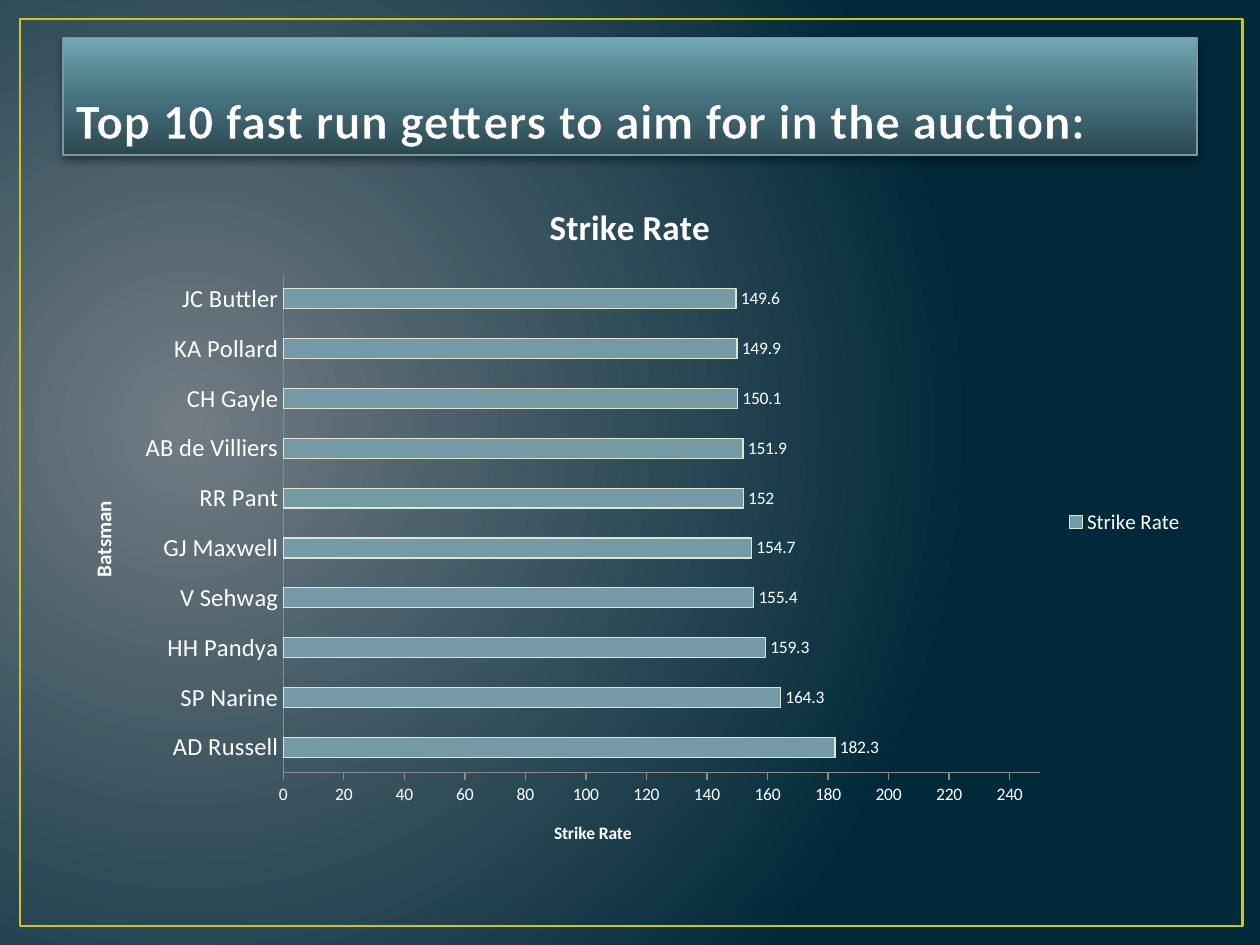
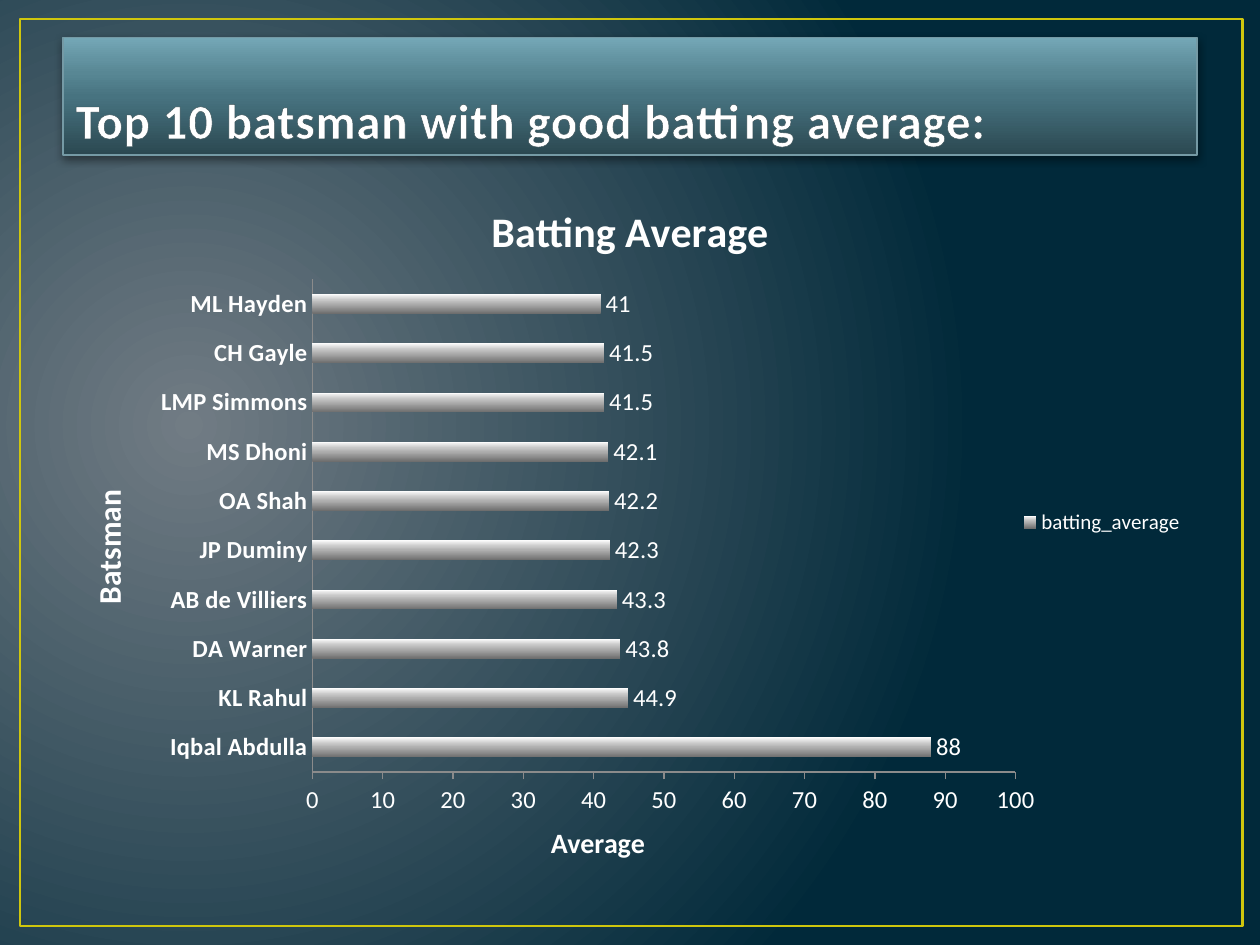
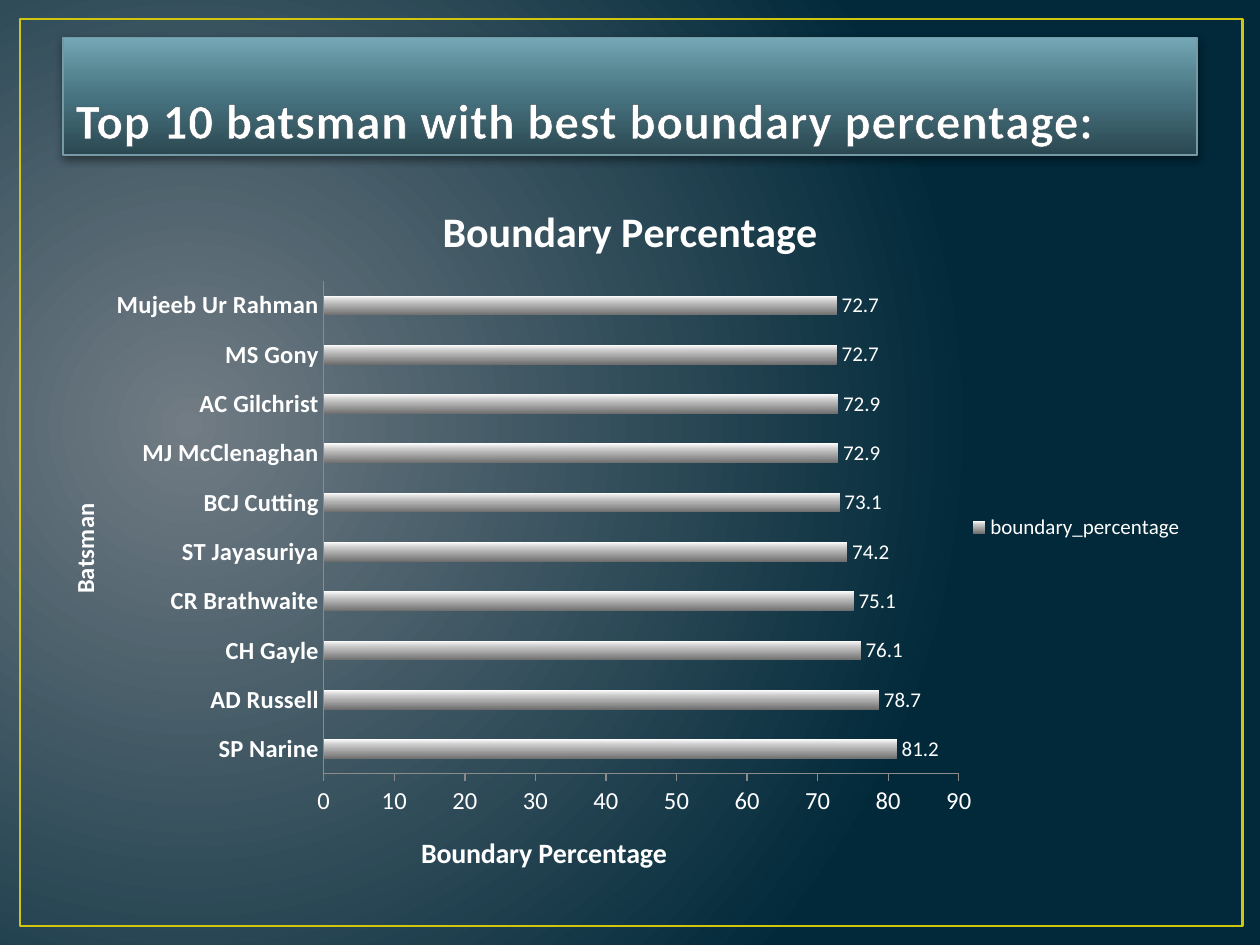
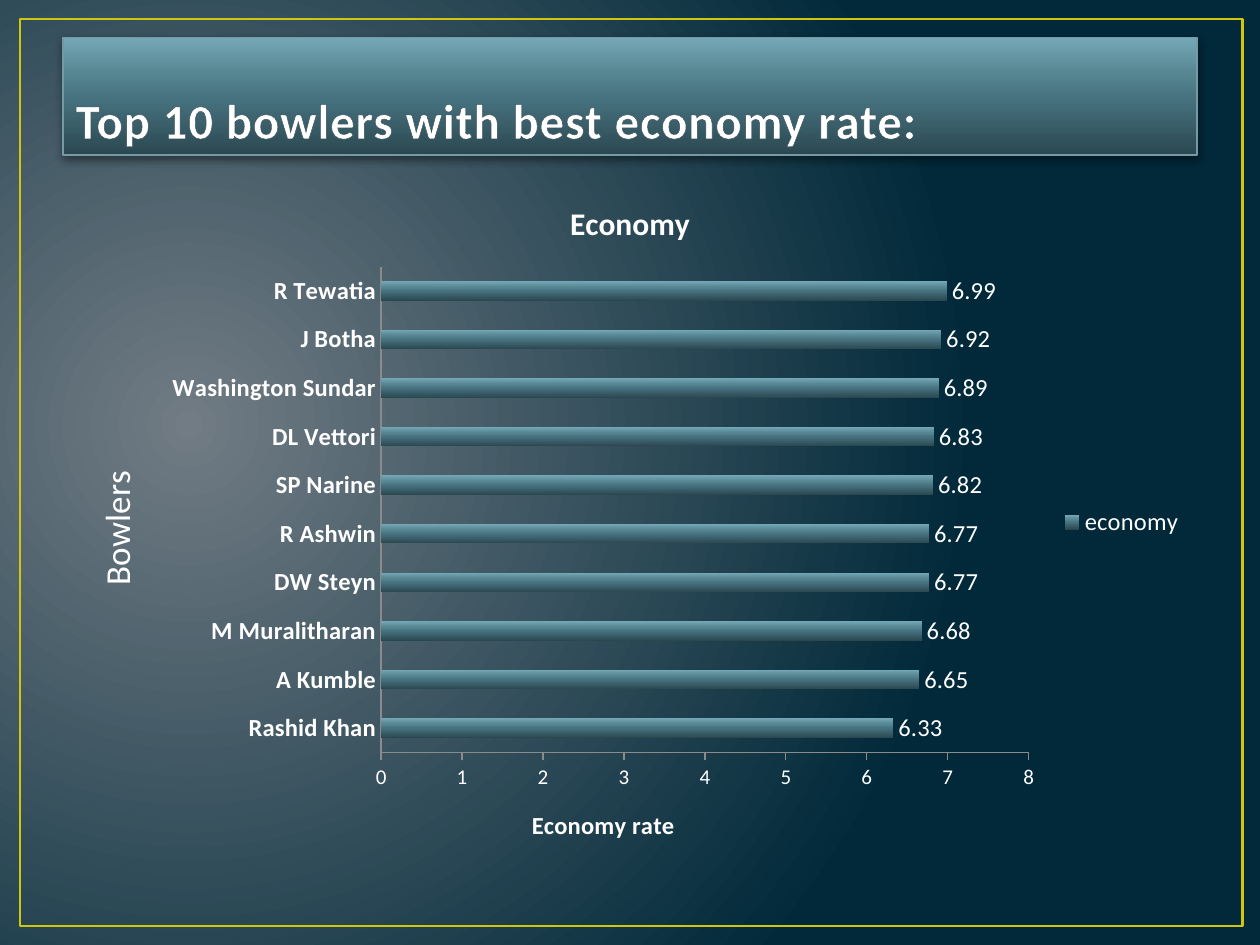
from dataclasses import dataclass
from typing import Optional

from pptx import Presentation
from pptx.chart.data import CategoryChartData
from pptx.dml.color import RGBColor
from pptx.enum.chart import XL_CHART_TYPE, XL_LABEL_POSITION, XL_LEGEND_POSITION, XL_TICK_MARK
from pptx.enum.shapes import MSO_SHAPE
from pptx.enum.text import MSO_ANCHOR, PP_ALIGN
from pptx.oxml import parse_xml
from pptx.oxml.ns import nsdecls, qn
from pptx.util import Inches, Pt

SLIDE_WIDTH, SLIDE_HEIGHT = Inches(10), Inches(7.5)
COLUMNS, ROWS = 100, 75
FONT = "Calibri"
WHITE = RGBColor(0xFF, 0xFF, 0xFF)
GOLD = RGBColor(0xCF, 0xC6, 0x0D)
TEAL = RGBColor(0x75, 0x9A, 0xA5)
PALE_GREEN = RGBColor(0xDF, 0xE6, 0xD0)
AXIS_GREY = RGBColor(0x8B, 0x8B, 0x8B)
OUTLINE = RGBColor(0x38, 0x4F, 0x55)
BACKDROP_STOPS = {0: RGBColor(0x71, 0x7C, 0x84), 100: RGBColor(0x01, 0x29, 0x3A)}
TEAL_STOPS = {0: RGBColor(0x2B, 0x48, 0x51), 50: RGBColor(0x47, 0x73, 0x80),
              70: RGBColor(0x58, 0x87, 0x94), 100: RGBColor(0x74, 0xA7, 0xB6)}
SILVER_STOPS = {0: RGBColor(0x6E, 0x6E, 0x6E), 50: RGBColor(0xAE, 0xAE, 0xAE),
                70: RGBColor(0xC8, 0xC8, 0xC8), 100: RGBColor(0xFC, 0xFC, 0xFC)}
UPWARD = '<a:lin ang="16200000" scaled="0"/>'
GLOW = '<a:path path="circle"><a:fillToRect l="15000" t="50000" r="85000" b="60000"/></a:path>'


@dataclass
class Ranking:
    """One ranking slide: its heading, figures and text sizes."""
    heading: str
    chart_title: str
    series_name: str
    figures: dict
    people: str
    measure: str
    title_size: int
    people_size: int
    measure_size: int
    tick_size: int
    label_size: int
    legend_size: int = 12
    names_bold: bool = True
    people_bold: bool = True
    bar_stops: Optional[dict] = None
    plot: Optional[tuple] = None
    scale: Optional[dict] = None
    rows: float = 55.1


RANKINGS = [
    Ranking("Top 10 fast run getters to aim for in the auction:", "Strike Rate", "Strike Rate",
            {"AD Russell": 182.3, "SP Narine": 164.3, "HH Pandya": 159.3, "V Sehwag": 155.4,
             "GJ Maxwell": 154.7, "RR Pant": 152, "AB de Villiers": 151.9, "CH Gayle": 150.1,
             "KA Pollard": 149.9, "JC Buttler": 149.6},
            "Batsman", "Strike Rate", 20, 12, 10, 10, 10, names_bold=False,
            scale={"minimum_scale": 0, "maximum_scale": 250, "major_unit": 20}),
    Ranking("Top 10 batsman with good batting average:", "Batting Average", "batting_average",
            {"Iqbal Abdulla": 88, "KL Rahul": 44.9, "DA Warner": 43.8, "AB de Villiers": 43.3,
             "JP Duminy": 42.3, "OA Shah": 42.2, "MS Dhoni": 42.1, "LMP Simmons": 41.5,
             "CH Gayle": 41.5, "ML Hayden": 41},
            "Batsman", "Average", 24, 18, 16, 14, 14,
            bar_stops=SILVER_STOPS, plot=(0.22, 0.15, 0.62, 0.71)),
    Ranking("Top 10 batsman with best boundary percentage:", "Boundary Percentage",
            "boundary_percentage",
            {"SP Narine": 81.2, "AD Russell": 78.7, "CH Gayle": 76.1, "CR Brathwaite": 75.1,
             "ST Jayasuriya": 74.2, "BCJ Cutting": 73.1, "MJ McClenaghan": 72.9,
             "AC Gilchrist": 72.9, "MS Gony": 72.7, "Mujeeb Ur Rahman": 72.7},
            "Batsman", "Boundary Percentage", 24, 14, 16, 14, 12,
            bar_stops=SILVER_STOPS, plot=(0.23, 0.15, 0.56, 0.7),
            scale={"minimum_scale": 0}, rows=55.9),
    Ranking("Top 10 bowlers with best economy rate:", "Economy", "economy",
            {"Rashid Khan": 6.33, "A Kumble": 6.65, "M Muralitharan": 6.68, "DW Steyn": 6.77,
             "R Ashwin": 6.77, "SP Narine": 6.82, "DL Vettori": 6.83,
             "Washington Sundar": 6.89, "J Botha": 6.92, "R Tewatia": 6.99},
            "Bowlers", "Economy rate", 18, 20, 14, 12, 14, legend_size=14, people_bold=False,
            bar_stops=TEAL_STOPS, scale={"minimum_scale": 0, "major_unit": 1}),
]


def cells(column, row, columns, rows):
    """Turn grid cells into left, top, width and height."""
    across, down = SLIDE_WIDTH / COLUMNS, SLIDE_HEIGHT / ROWS
    return [int(length) for length in (column * across, row * down, columns * across, rows * down)]


def assign(target, values):
    """Set each named attribute on the target."""
    for name, value in values.items():
        setattr(target, name, value)


def style_font(font, size, bold=False):
    """Give a font the shared face and colour."""
    assign(font, {"name": FONT, "size": Pt(size), "bold": bold})
    font.color.rgb = WHITE


def swap_in_gradient(properties, stops, direction):
    """Replace the solid fill of a properties element with a gradient."""
    marks = "".join(f'<a:gs pos="{at * 1000}"><a:srgbClr val="{color}"/></a:gs>'
                    for at, color in stops.items())
    gradient = parse_xml(f'<a:gradFill {nsdecls("a")} rotWithShape="1">'
                         f'<a:gsLst>{marks}</a:gsLst>{direction}</a:gradFill>')
    properties.replace(properties.find(qn("a:solidFill")), gradient)


def paint_backdrop(master):
    """Give every slide the radial backdrop."""
    master.background.fill.solid()
    swap_in_gradient(master.element.xpath(".//p:bgPr")[0], BACKDROP_STOPS, GLOW)


def add_shared_frame(slide):
    """Draw the gold frame and hand it to the slide's layout."""
    frame = slide.shapes.add_shape(MSO_SHAPE.RECTANGLE, *cells(1.6, 1.5, 97, 72))
    frame.shadow.inherit = False
    frame.fill.background()
    frame.line.color.rgb = GOLD
    frame.line.width = Pt(1.5)
    slide.slide_layout.shapes.element.insert(2, frame.element)


def format_heading(heading, text):
    """Turn the title placeholder into the gradient heading band."""
    assign(heading, dict(zip(("left", "top", "width", "height"), cells(5, 3, 90, 9.3))))
    heading.fill.solid()
    heading.line.color.rgb = TEAL
    heading.line.width = Pt(0.75)
    heading.shadow.inherit = False
    band = heading.element.spPr
    swap_in_gradient(band, TEAL_STOPS, UPWARD)
    band.find(qn("a:effectLst")).append(parse_xml(
        f'<a:outerShdw {nsdecls("a")} blurRad="{Pt(5)}" dist="{Pt(2)}" dir="5400000" '
        'rotWithShape="0"><a:srgbClr val="000000"><a:alpha val="43000"/></a:srgbClr>'
        '</a:outerShdw>'))
    assign(heading.text_frame, {"text": text, "vertical_anchor": MSO_ANCHOR.BOTTOM,
                                "word_wrap": True})
    paragraph = heading.text_frame.paragraphs[0]
    paragraph.alignment = PP_ALIGN.LEFT
    style_font(paragraph.runs[0].font, 28, True)
    lettering = heading.element.xpath(".//a:rPr")[0]
    lettering.set("spc", "50")
    lettering.insert(0, parse_xml(
        f'<a:ln {nsdecls("a")} w="{Pt(1.05)}"><a:solidFill><a:srgbClr val="{OUTLINE}"/>'
        '</a:solidFill></a:ln>'))


def write_title(owner, text, size, bold=True):
    """Write the title of a chart or an axis."""
    frame = (owner.chart_title if hasattr(owner, "chart_title") else owner.axis_title).text_frame
    frame.text = text
    style_font(frame.paragraphs[0].runs[0].font, size, bold)


def format_axis(axis, title, size, title_bold, tick_size, tick_bold, tick_mark):
    """Format one axis with its title, ticks and line."""
    assign(axis, {"has_major_gridlines": False, "major_tick_mark": tick_mark,
                  "minor_tick_mark": XL_TICK_MARK.NONE})
    axis.format.line.color.rgb = AXIS_GREY
    axis.format.line.width = Pt(0.75)
    style_font(axis.tick_labels.font, tick_size, tick_bold)
    write_title(axis, title, size, title_bold)


def place_plot(chart, shares):
    """Fix the inner plot area as shares of the chart."""
    area = chart.element.xpath(".//c:plotArea")[0]
    for automatic in area.findall(qn("c:layout")):
        area.remove(automatic)
    places = "".join(f'<c:{side} val="{share}"/>' for side, share in zip("xywh", shares))
    area.insert(0, parse_xml(
        f'<c:layout {nsdecls("c")}><c:manualLayout><c:layoutTarget val="inner"/>'
        f'<c:xMode val="edge"/><c:yMode val="edge"/>{places}</c:manualLayout></c:layout>'))


def format_bars(chart, ranking):
    """Colour the bars and show their values."""
    plot = chart.plots[0]
    assign(plot, {"gap_width": 150, "vary_by_categories": False, "has_data_labels": True})
    assign(plot.data_labels, {"show_value": True, "position": XL_LABEL_POSITION.OUTSIDE_END})
    style_font(plot.data_labels.font, ranking.label_size)
    bars = plot.series[0].format
    bars.fill.solid()
    bars.fill.fore_color.rgb = TEAL
    if ranking.bar_stops:
        bars.line.fill.background()
        swap_in_gradient(chart.element.xpath(".//c:ser/c:spPr")[0], ranking.bar_stops, UPWARD)
    else:
        bars.line.color.rgb = PALE_GREEN
        bars.line.width = Pt(0.75)


def add_ranking_chart(slide, ranking):
    """Add the bar chart of a ranking."""
    data = CategoryChartData()
    data.categories = list(ranking.figures)
    data.add_series(ranking.series_name, list(ranking.figures.values()))
    chart = slide.shapes.add_chart(XL_CHART_TYPE.BAR_CLUSTERED,
                                   *cells(5, 13.9, 90, ranking.rows), data).chart
    style_font(chart.font, 10)
    write_title(chart, ranking.chart_title, ranking.title_size)
    format_axis(chart.category_axis, ranking.people, ranking.people_size, ranking.people_bold,
                14, ranking.names_bold, XL_TICK_MARK.NONE)
    format_axis(chart.value_axis, ranking.measure, ranking.measure_size, True,
                ranking.tick_size, False, XL_TICK_MARK.OUTSIDE)
    assign(chart.value_axis, ranking.scale or {})
    turned = chart.element.xpath(".//c:catAx/c:title//a:bodyPr")[0]
    turned.set("rot", "-5400000")
    turned.set("vert", "horz")
    chart.has_legend = True
    assign(chart.legend, {"position": XL_LEGEND_POSITION.RIGHT, "include_in_layout": False})
    style_font(chart.legend.font, ranking.legend_size)
    format_bars(chart, ranking)
    if ranking.plot:
        place_plot(chart, ranking.plot)


def main():
    """Build the ranking slides and save them."""
    deck = Presentation()
    assign(deck, {"slide_width": SLIDE_WIDTH, "slide_height": SLIDE_HEIGHT})
    paint_backdrop(deck.slide_master)
    title_only = deck.slide_layouts.get_by_name("Title Only")
    for ranking in RANKINGS:
        slide = deck.slides.add_slide(title_only)
        format_heading(slide.shapes.title, ranking.heading)
        add_ranking_chart(slide, ranking)
    add_shared_frame(deck.slides[0])
    deck.save("out.pptx")


if __name__ == "__main__":
    main()
